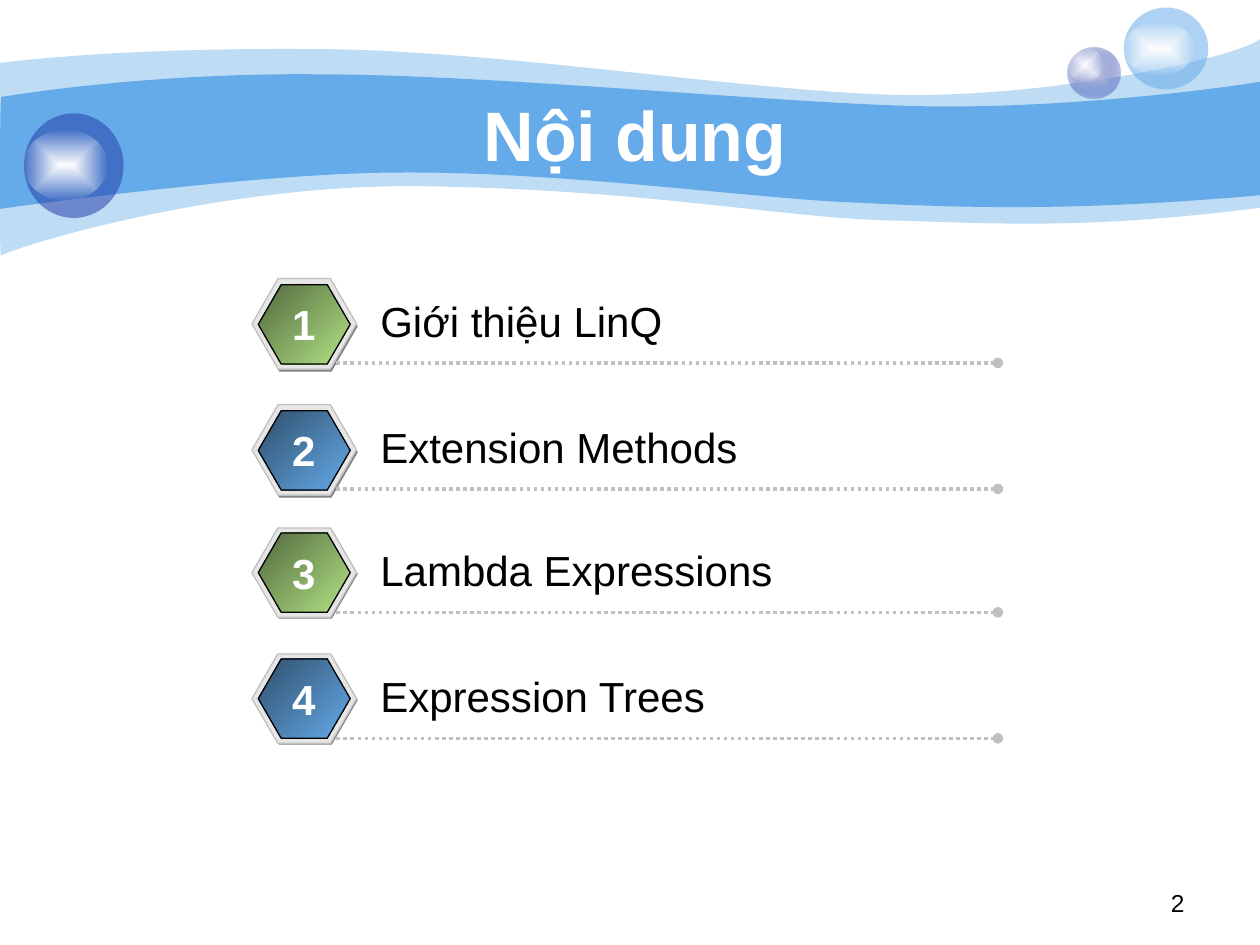
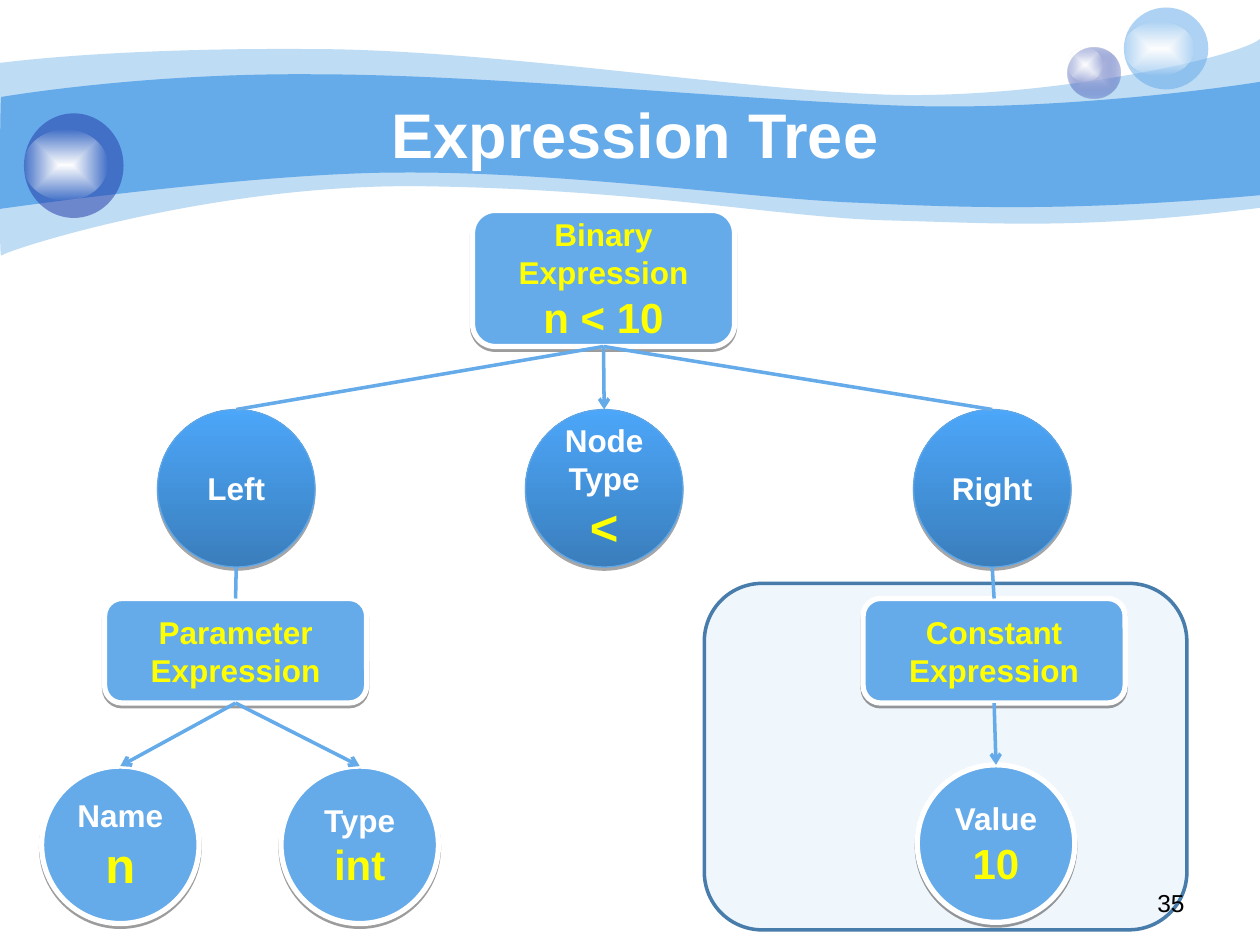
from lxml import etree
from pptx import Presentation
from pptx.dml.color import RGBColor
from pptx.enum import dml, shapes, text
from pptx.oxml.ns import qn
from pptx.util import Emu, Pt

PX = 9144  # one px is a hundredth of an inch
FONT = "Arial"

SKY = RGBColor(0x65, 0xAA, 0xE9)
NAVY = RGBColor(0x23, 0x3D, 0xA9)
LAVENDER = RGBColor(0xC7, 0xCE, 0xE9)
WHITE = RGBColor(0xFF, 0xFF, 0xFF)
BLACK = RGBColor(0x00, 0x00, 0x00)
YELLOW = RGBColor(0xFF, 0xFF, 0x00)
SILVER = RGBColor(0xC0, 0xC0, 0xC0)
PALE_GRAY = RGBColor(0xE6, 0xE6, 0xE6)
GRAY = RGBColor(0x80, 0x80, 0x80)
DARK_GREEN = RGBColor(0x52, 0x69, 0x3E)
LIGHT_GREEN = RGBColor(0xB2, 0xE3, 0x85)
DARK_BLUE = RGBColor(0x2F, 0x4F, 0x6C)
STEEL = RGBColor(0x48, 0x7C, 0xAB)
CIRCLE_BOTTOM = RGBColor(0x3A, 0x7E, 0xBC)
CIRCLE_TOP = RGBColor(0x4C, 0xA6, 0xF9)
CIRCLE_EDGE = RGBColor(0x5F, 0xA6, 0xE7)

LEFT, CENTER, RIGHT = (text.PP_ALIGN.LEFT, text.PP_ALIGN.CENTER,
                       text.PP_ALIGN.RIGHT)
HEXAGON = shapes.MSO_SHAPE.HEXAGON
ELLIPSE = shapes.MSO_SHAPE.OVAL
ROUNDED = shapes.MSO_SHAPE.ROUNDED_RECTANGLE

# Each wave: start point, then curves (three points) and straight lines (one).
PALE_WAVE = [
    [(0, 50)],
    [(24, 47), (107, 38), (247, 39)], [(386, 39), (575, 70), (699, 75)],
    [(822, 80), (980, 47), (1000, 31)], [(1000, 165)],
    [(858, 183), (787, 177), (705, 175)], [(622, 173), (515, 151), (343, 148)],
    [(172, 144), (4, 199), (1, 203)], [(-1, 208), (0, 75), (0, 50)]]
STRONG_WAVE = [
    [(1, 77)],
    [(2, 77), (110, 58), (248, 59)], [(386, 59), (595, 80), (718, 84)],
    [(841, 88), (976, 69), (1000, 65)], [(1000, 155)],
    [(853, 168), (765, 165), (682, 161)], [(599, 158), (447, 136), (317, 137)],
    [(203, 137), (-2, 166), (-1, 166)], [(0, 166), (0, 77), (1, 77)]]

# Top of the hexagon, inset of its coloured face, words.
TOPICS = [(221, 5, "Giới thiệu LinQ"), (321, 5, "Extension Methods"),
          (419, 4, "Lambda Expressions"), (519, 4, "Expression Trees")]

# Boxes and circles of the tree: place, then (words, size, colour) paragraphs.
BOXES = {
    "root": ((375, 167, 208, 108), [("Binary Expression", 18, YELLOW),
                                    ("n < 10", 24, YELLOW)]),
    "parameter": ((83, 475, 208, 83), [("Parameter Expression", 18, YELLOW)]),
    "constant": ((685, 475, 208, 83), [("Constant Expression", 18, YELLOW)]),
}
BRANCHES = {
    "operator": ((417, 325, 125, 125), [("NodeType", 18, WHITE),
                                        ("<", 28, YELLOW)]),
    "left": ((125, 325, 125, 125), [("Left", 18, WHITE)]),
    "right": ((725, 325, 125, 125), [("Right", 18, WHITE)]),
}
LEAVES = {
    "name": ((33, 608, 125, 125), [("Name", 18, WHITE), ("n", 28, YELLOW)]),
    "type": ((223, 608, 125, 125), [("Type", 18, WHITE), ("int", 24, YELLOW)]),
    "value": ((728, 607, 125, 125), [("Value", 18, WHITE),
                                     ("10", 24, YELLOW)]),
}
LINKS = [("root", "operator", "arrow"), ("root", "left", None),
         ("root", "right", None), ("parameter", "name", "arrow"),
         ("parameter", "type", "arrow"), ("constant", "value", "arrow"),
         ("left", "parameter", None), ("right", "constant", None)]


def emu(*lengths):
    return [Emu(round(length * PX)) for length in lengths]


def add_color(parent, color, opacity=100):
    node = etree.SubElement(parent, qn("a:srgbClr"), val=str(color))
    if opacity < 100:
        etree.SubElement(node, qn("a:alpha"), val=str(opacity * 1000))


def fill_solid(shape, color, opacity=100):
    shape.fill.solid()
    solid = shape._element.spPr.find(qn("a:solidFill"))
    solid.clear()
    add_color(solid, color, opacity)


def fill_gradient(shape, start, end, angle=None, end_opacity=100):
    """Linear at the given clockwise angle, or from the centre out without one."""
    shape.fill.solid()
    solid = shape._element.spPr.find(qn("a:solidFill"))
    gradient = etree.Element(qn("a:gradFill"), rotWithShape="1")
    stops = etree.SubElement(gradient, qn("a:gsLst"))
    for position, color, opacity in ((0, start, 100), (100, end, end_opacity)):
        stop = etree.SubElement(stops, qn("a:gs"), pos=str(position * 1000))
        add_color(stop, color, opacity)
    if angle is None:
        spread = etree.SubElement(gradient, qn("a:path"), path="rect")
        etree.SubElement(spread, qn("a:fillToRect"),
                         l="50000", t="50000", r="50000", b="50000")
    else:
        etree.SubElement(gradient, qn("a:lin"), ang=str(angle * 60000),
                         scaled="1")
    solid.getparent().replace(solid, gradient)


def set_outline(shape, color=None, width=0.75):
    if color is None:
        shape.line.fill.background()
    else:
        shape.line.color.rgb = color
        shape.line.width = Pt(width)


def drop_shadow(shape, opacity, distance):
    effects = shape._element.spPr.find(qn("a:effectLst"))
    shadow = etree.SubElement(effects, qn("a:outerShdw"), blurRad="0",
                              dist=str(Pt(distance)), dir="5400000",
                              rotWithShape="0")
    add_color(shadow, BLACK, opacity)


def add_preset(slide, kind, place, outline=None, width=0.75):
    shape = slide.shapes.add_shape(kind, *emu(*place))
    shape.shadow.inherit = False
    set_outline(shape, outline, width)
    return shape


def write(frame, paragraphs, align, bold=False):
    for index, (words, size, color) in enumerate(paragraphs):
        paragraph = frame.add_paragraph() if index else frame.paragraphs[0]
        paragraph.alignment = align
        run = paragraph.add_run()
        run.text = words
        run.font.name = FONT
        run.font.size = Pt(size)
        run.font.bold = bold
        run.font.color.rgb = color


def add_label(slide, place, words, size, color, align=LEFT, bold=False,
              wrap=True, anchor=text.MSO_ANCHOR.TOP):
    frame = slide.shapes.add_textbox(*emu(*place)).text_frame
    frame.word_wrap = wrap
    frame.vertical_anchor = anchor
    write(frame, [(words, size, color)], align, bold)


def add_line(slide, start, end, color, tail=None, dash=None):
    line = slide.shapes.add_connector(shapes.MSO_CONNECTOR.STRAIGHT,
                                      *emu(*start, *end))
    set_outline(line, color, 2)
    if dash:
        line.line.dash_style = dash
    if tail:
        etree.SubElement(line.line._get_or_add_ln(), qn("a:tailEnd"), type=tail)
    etree.SubElement(line._element.spPr, qn("a:effectLst"))


def bend(wave, segments):
    """Merge every three straight steps of a curved segment into one curve."""
    steps = iter(list(wave._element.iter(qn("a:lnTo"))))
    for segment in segments:
        first, *others = [next(steps) for _ in segment]
        if others:
            first.tag = qn("a:cubicBezTo")
        for step in others:
            first.append(step[0])
            step.getparent().remove(step)


def add_wave(slide, outline, opacity):
    start, *rest = [emu(*point) for segment in outline for point in segment]
    builder = slide.shapes.build_freeform(*start)
    builder.add_line_segments(rest, close=True)
    wave = builder.convert_to_shape()
    bend(wave, outline[1:])
    wave.shadow.inherit = False
    set_outline(wave)
    fill_solid(wave, SKY, opacity)


def add_bubble(slide, place, shine_place):
    bubble = add_preset(slide, ELLIPSE, place)
    shine = add_preset(slide, ELLIPSE, shine_place)
    fill_gradient(shine, WHITE, WHITE, end_opacity=0)
    return bubble


def add_themed_slide(deck):
    slide = deck.slides.add_slide(deck.slide_layouts[6])
    add_wave(slide, PALE_WAVE, 41)
    add_wave(slide, STRONG_WAVE, 100)
    small = add_bubble(slide, (847, 38, 42, 40), (847, 38, 28, 27))
    fill_gradient(small, LAVENDER, NAVY, end_opacity=31)
    pale = add_bubble(slide, (892, 6, 67, 65), (892, 17, 56, 43))
    fill_solid(pale, SKY, 53)
    dark = add_bubble(slide, (19, 90, 79, 83), (19, 103, 66, 56))
    fill_solid(dark, NAVY, 53)
    return slide


def add_title(slide, words, size):
    add_label(slide, (100, 75, 808, 62), words, size, WHITE, CENTER,
              bold=True, anchor=text.MSO_ANCHOR.MIDDLE)


def add_page_number(slide, number):
    add_label(slide, (717, 700, 233, 35), number, 14, BLACK, RIGHT)


def add_hexagon(slide, place, outline=None):
    hexagon = add_preset(slide, HEXAGON, place, outline)
    hexagon.adjustments[0] = 0.289
    return hexagon


def add_topic(slide, number, top, inset, words):
    height = 67 + inset
    fill_solid(add_hexagon(slide, (201, top + inset - 3, 83, height)), GRAY)
    fill_solid(add_hexagon(slide, (200, top, 83, height), SILVER), PALE_GRAY)
    face = add_hexagon(slide, (205, top + inset, 73, 63), BLACK)
    colors = (DARK_GREEN, LIGHT_GREEN) if number % 2 else (DARK_BLUE, SKY)
    fill_gradient(face, *colors, angle=45)
    add_line(slide, (267, top + 67), (792, top + 67), SILVER, "oval",
             dml.MSO_LINE.ROUND_DOT)
    add_label(slide, (292, top + inset + 4, 492, 50), words, 24, BLACK)
    add_label(slide, (222, top + 11, 38, 50), str(number), 24, WHITE, CENTER,
              bold=True, wrap=False)


def add_node(slide, kind, place, paragraphs, branch=False):
    if branch:
        node = add_preset(slide, kind, place, CIRCLE_EDGE)
        fill_gradient(node, CIRCLE_BOTTOM, CIRCLE_TOP, angle=270)
        drop_shadow(node, 35, 1.8)
    else:
        node = add_preset(slide, kind, place, WHITE, 3)
        fill_solid(node, SKY)
        drop_shadow(node, 38, 1.6)
    frame = node.text_frame
    frame.word_wrap = True
    frame.vertical_anchor = text.MSO_ANCHOR.MIDDLE
    write(frame, paragraphs, CENTER, bold=True)


def add_link(slide, parent, child, tail):
    """Join the bottom of one place to the top of another."""
    left, top, width, height = parent
    child_left, child_top, child_width, _ = child
    add_line(slide, (left + width / 2, top + height),
             (child_left + child_width / 2, child_top), SKY, tail)


def build_contents(deck):
    slide = add_themed_slide(deck)
    add_title(slide, "Nội dung", 40)
    for number, topic in enumerate(TOPICS, start=1):
        add_topic(slide, number, *topic)
    add_page_number(slide, "2")


def build_tree(deck):
    slide = add_themed_slide(deck)
    highlight = add_preset(slide, ROUNDED, (559, 463, 383, 275), STEEL, 2)
    fill_solid(highlight, SKY, 10)
    add_title(slide, "Expression Tree", 36)
    for kind, nodes in ((ROUNDED, BOXES), (ELLIPSE, BRANCHES),
                        (ELLIPSE, LEAVES)):
        for place, paragraphs in nodes.values():
            add_node(slide, kind, place, paragraphs, nodes is BRANCHES)
    places = {name: place for name, (place, _)
              in (BOXES | BRANCHES | LEAVES).items()}
    for parent, child, tail in LINKS:
        add_link(slide, places[parent], places[child], tail)
    add_page_number(slide, "35")


def main():
    deck = Presentation()
    deck.slide_width, deck.slide_height = emu(1000, 750)
    build_contents(deck)
    build_tree(deck)
    deck.save("out.pptx")


if __name__ == "__main__":
    main()
